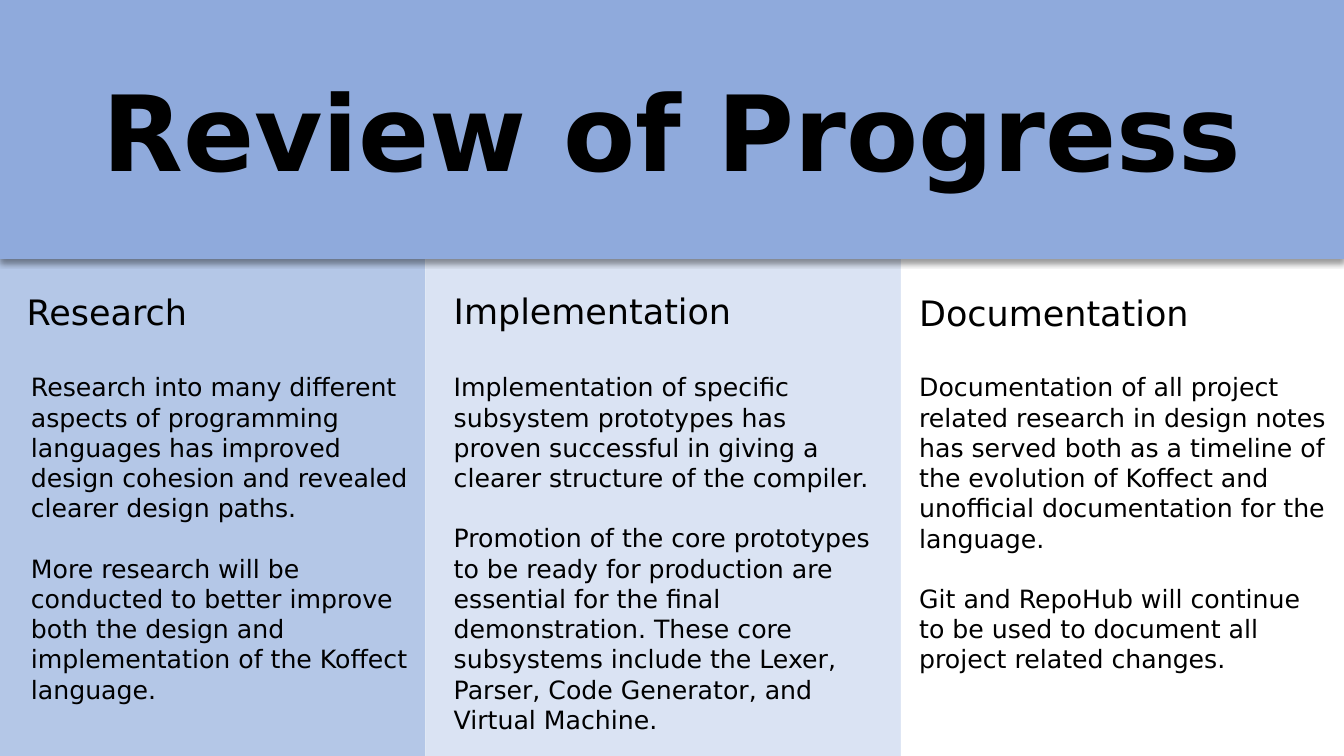
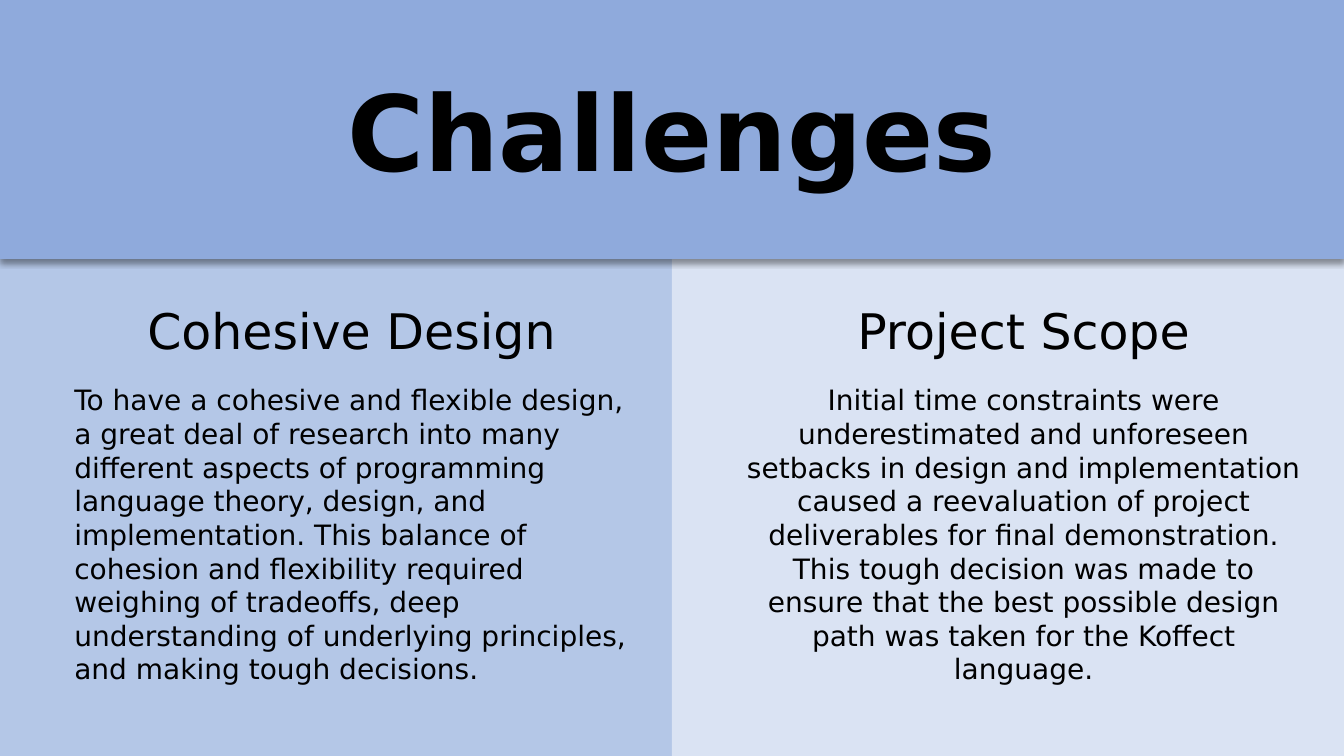
"""Build two slides with a title band above coloured text columns."""
from lxml.etree import SubElement as Sub
from pptx import Presentation
from pptx.dml.color import RGBColor as Rgb
from pptx.enum.shapes import MSO_SHAPE as Shape
from pptx.enum.text import MSO_ANCHOR as Anchor, PP_ALIGN as Align
from pptx.oxml.ns import qn
from pptx.util import Pt

WIDE, HIGH = 960, 540
TOP, BAND = 164, 185
FONT = "DejaVu Sans"
HUES = {"band": "8FAADC", "mid": "B4C7E7", "pale": "DAE3F3",
        "white": "FFFFFF", "ink": "000000"}
LEFT, MID = Align.LEFT, Align.CENTER

SLIDES = [
    {
        "title": "Review of Progress",
        "head": {"size": 25, "align": LEFT, "high": 37.5},
        "body": {"size": 18, "gap": 21.5, "high": 247},
        "cols": [
            {"hue": "mid", "left": 0, "name": "Research",
             "head": (12, 204, 292), "body": (15, 262, 292), "align": LEFT,
             "text": [
                 "Research into many different aspects of programming "
                 "languages has improved design cohesion and revealed "
                 "clearer design paths.",
                 "More research will be conducted to better improve both the "
                 "design and implementation of the Koffect language."]},
            {"hue": "pale", "left": 304, "name": "Implementation",
             "head": (317, 203, 292), "body": (317, 262, 314), "align": LEFT,
             "text": [
                 "Implementation of specific subsystem prototypes has proven "
                 "successful in giving a clearer structure of the compiler.",
                 "Promotion of the core prototypes to be ready for production "
                 "are essential for the final demonstration. These core "
                 "subsystems include the Lexer, Parser, Code Generator, and "
                 "Virtual Machine."]},
            {"hue": "white", "left": 643.5, "name": "Documentation",
             "head": (649.5, 205, 305), "body": (649.5, 262, 305),
             "align": LEFT,
             "text": [
                 "Documentation of all project related research in design "
                 "notes has served both as a timeline of the evolution of "
                 "Koffect and unofficial documentation for the language.",
                 "Git and RepoHub will continue to be used to document all "
                 "project related changes."]},
        ],
    },
    {
        "title": "Challenges",
        "head": {"size": 35, "align": MID, "high": 50},
        "body": {"size": 20, "high": 225},
        "cols": [
            {"hue": "mid", "left": 0, "name": "Cohesive Design",
             "head": (46, 211, 410.5), "body": (46, 270, 410.5),
             "align": LEFT,
             "text": [
                 "To have a cohesive and flexible design, a great deal of "
                 "research into many different aspects of programming "
                 "language theory, design, and implementation. This balance "
                 "of cohesion and flexibility required weighing of "
                 "tradeoffs, deep understanding of underlying principles, "
                 "and making tough decisions."]},
            {"hue": "pale", "left": 480, "name": "Project Scope",
             "head": (526, 211, 410.5), "body": (526, 270, 410.5),
             "align": MID,
             "text": [
                 "Initial time constraints were underestimated and "
                 "unforeseen setbacks in design and implementation caused a "
                 "reevaluation of project deliverables for final "
                 "demonstration. This tough decision was made to ensure that "
                 "the best possible design path was taken for the Koffect "
                 "language."]},
        ],
    },
]


def write(frame, lines, size=18, align=LEFT, bold=False, gap=0):
    """Fill a text frame with formatted paragraphs."""
    frame.word_wrap = True
    for num, line in enumerate(lines):
        para = frame.add_paragraph() if num else frame.paragraphs[0]
        para.alignment = align
        if num and gap:
            para.space_before = Pt(gap)
        run = para.add_run()
        run.text = line
        run.font.name = FONT
        run.font.size = Pt(size)
        run.font.bold = bold
        run.font.color.rgb = Rgb.from_string(HUES["ink"])


def label(slide, spot, lines, high, **form):
    """Add a text box at a left, top and width."""
    box = slide.shapes.add_textbox(*map(Pt, (*spot, high)))
    write(box.text_frame, lines, **form)


def panel(slide, left, top, wide, high, hue):
    """Add a plain filled rectangle."""
    rect = slide.shapes.add_shape(
        Shape.RECTANGLE, *map(Pt, (left, top, wide, high)))
    rect.shadow.inherit = False
    rect.fill.solid()
    rect.fill.fore_color.rgb = Rgb.from_string(HUES[hue])
    rect.line.fill.background()
    return rect


def banner(slide, title):
    """Add the title band with its soft shadow."""
    band = panel(slide, 0, 0, WIDE, BAND, "band")
    band.text_frame.vertical_anchor = Anchor.MIDDLE
    write(band.text_frame, [title], size=75, align=MID, bold=True)
    glow = band._element.spPr.find(qn("a:effectLst"))
    shade = Sub(glow, qn("a:outerShdw"), blurRad=str(Pt(4)),
                dist=str(Pt(3)), dir="5400000", algn="t", rotWithShape="0")
    tint = Sub(shade, qn("a:srgbClr"), val=HUES["ink"])
    Sub(tint, qn("a:alpha"), val="40000")


def main():
    """Draw every slide and save the deck."""
    deck = Presentation()
    deck.slide_width, deck.slide_height = Pt(WIDE), Pt(HIGH)
    for data in SLIDES:
        slide = deck.slides.add_slide(deck.slide_layouts[6])
        cols = data["cols"]
        ends = [col["left"] for col in cols[1:]] + [WIDE]
        for col, end in zip(cols, ends):
            left = col["left"]
            panel(slide, left, TOP, end - left, HIGH - TOP, col["hue"])
            label(slide, col["body"], col["text"], align=col["align"],
                  **data["body"])
            label(slide, col["head"], [col["name"]], **data["head"])
        banner(slide, data["title"])
    deck.save("out.pptx")


if __name__ == "__main__":
    main()
